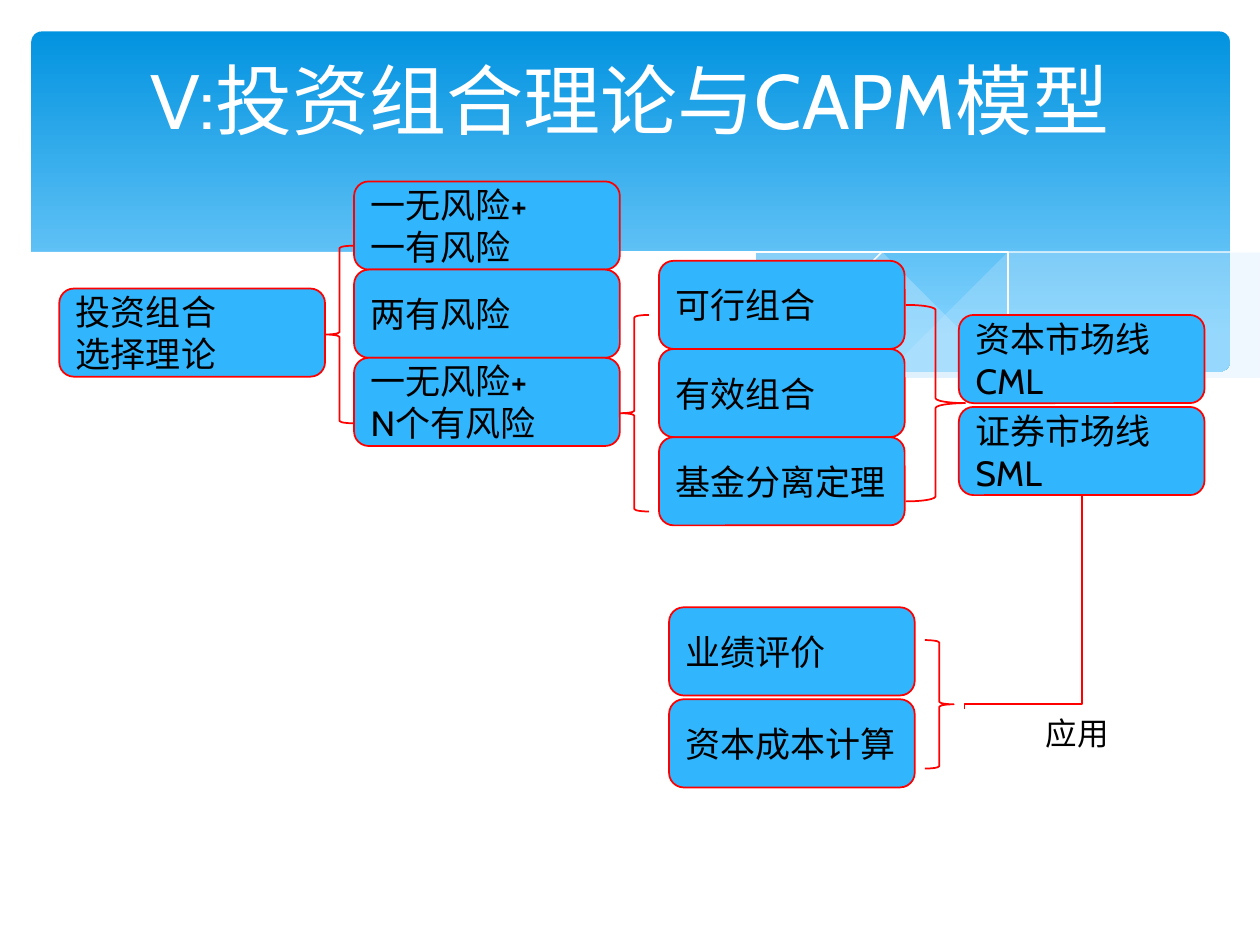
from lxml import etree
from pptx import Presentation
from pptx.dml.color import RGBColor
from pptx.enum.shapes import MSO_CONNECTOR, MSO_SHAPE
from pptx.enum.text import MSO_ANCHOR, PP_ALIGN
from pptx.oxml.ns import qn
from pptx.util import Inches, Pt

ROUNDED = MSO_SHAPE.ROUNDED_RECTANGLE
LEFT_BRACE, RIGHT_BRACE = MSO_SHAPE.LEFT_BRACE, MSO_SHAPE.RIGHT_BRACE
ELBOW = MSO_CONNECTOR.ELBOW
TOP, MIDDLE = MSO_ANCHOR.TOP, MSO_ANCHOR.MIDDLE
LEFT, CENTER = PP_ALIGN.LEFT, PP_ALIGN.CENTER

FONT = "Cabin"
COLORS = {
    "sky": "0293E0", "pale sky": "83D3FE", "mist": "C6E7FC", "white": "FFFFFF",
    "box": "31B6FD", "red": "FF0000", "black": "000000",
}
ROW = 0.7          # height of one box
SPACED_ROW = 0.73  # row step where boxes stand slightly apart

# Columns of the map: left, width, top, row step, labels
COLUMNS = [
    (0.47, 2.11, 2.29, ROW, ["投资组合\n选择理论"]),
    (2.81, 2.11, 1.44, ROW, ["一无风险+\n一有风险", "两有风险", "一无风险+\nN个有风险"]),
    (5.23, 1.95, 2.07, ROW, ["可行组合", "有效组合", "基金分离定理"]),
    (7.61, 1.95, 2.5, SPACED_ROW, ["资本市场线\nCML", "证券市场线\nSML"]),
    (5.31, 1.95, 4.82, SPACED_ROW, ["业绩评价", "资本成本计算"]),
]
BRACES = [
    (LEFT_BRACE, 2.58, 1.95, 0.23, 1.41),
    (LEFT_BRACE, 4.92, 2.5, 0.23, 1.56),
    (RIGHT_BRACE, 7.19, 2.42, 0.47, 1.56),
    (RIGHT_BRACE, 7.34, 5.08, 0.23, 1.02),
]

# Outlines of the waves along the lower edge of the banner
RIGHT_WAVE = [
    (9.76, 2), (9.48, 2.04), (9.06, 2.13), (8.61, 2.23), (8.05, 2.37), (7.53, 2.48),
    (7.06, 2.57), (6.61, 2.65), (6.91, 2.69), (7.32, 2.74), (7.69, 2.77), (8.03, 2.78),
    (8.44, 2.77), (8.72, 2.74), (8.97, 2.7), (9.21, 2.65), (9.42, 2.59), (9.63, 2.52),
    (9.76, 2.47),
]
MIDDLE_WAVE = [
    (8.93, 2.73), (8.37, 2.65), (7.75, 2.54), (7.06, 2.4), (6.29, 2.22), (5.84, 2.11),
    (5.41, 2.03), (5.02, 1.96), (4.65, 1.91), (4.2, 1.87), (3.8, 1.85), (3.44, 1.86),
    (3.13, 1.88), (2.86, 1.91), (3.23, 1.96), (3.62, 2.03), (4.04, 2.11), (4.49, 2.22),
    (5.3, 2.4), (6.01, 2.55), (6.5, 2.64), (6.95, 2.7), (7.36, 2.75), (7.73, 2.77),
    (8.07, 2.78), (8.48, 2.77), (8.76, 2.75),
]
FALLING_LINE = [
    (3.09, 1.95), (3.28, 1.92), (3.53, 1.89), (3.87, 1.87), (4.16, 1.87), (4.5, 1.88),
    (4.89, 1.9), (5.33, 1.94), (5.82, 2), (6.36, 2.08), (6.95, 2.19), (7.6, 2.33),
    (8.31, 2.51), (9.07, 2.72),
]
RISING_LINE = [
    (6.13, 2.57), (6.53, 2.46), (6.95, 2.35), (7.48, 2.23), (8.06, 2.1), (8.66, 1.99),
    (8.95, 1.94), (9.24, 1.9), (9.51, 1.87), (9.75, 1.85),
]
WHITE_WAVE = [
    (9.77, 2.46), (9.5, 2.56), (9.2, 2.65), (8.87, 2.71), (8.5, 2.75), (8.09, 2.77),
    (7.61, 2.75), (7.08, 2.7), (6.48, 2.62), (5.79, 2.5), (5.03, 2.33), (4.47, 2.2),
    (3.91, 2.07), (3.4, 1.97), (2.92, 1.9), (2.5, 1.86), (2.11, 1.84), (1.77, 1.84),
    (1.46, 1.85), (1.19, 1.87), (0.95, 1.91), (0.76, 1.95), (0.59, 1.99), (0.46, 2.03),
    (0.36, 2.07), (0.23, 2.13), (0.23, 3.29), (9.77, 3.29),
]


def color(name):
    return RGBColor.from_string(COLORS[name])


def inches(*values):
    return [Inches(value) for value in values]


def write(frame, text, size, ink, align=LEFT, anchor=TOP, wrap=True):
    frame.word_wrap = wrap
    frame.vertical_anchor = anchor
    for index, line in enumerate(text.split("\n")):
        para = frame.paragraphs[0] if index == 0 else frame.add_paragraph()
        para.alignment = align
        span = para.add_run()
        span.text = line
        for name, value in {"name": FONT, "size": Pt(size)}.items():
            setattr(span.font, name, value)
        span.font.color.rgb = color(ink)


def outline(item, name, width):
    item.line.color.rgb = color(name)
    item.line.width = Pt(width)


def add_banner(page):
    banner = page.shapes.add_shape(ROUNDED, *inches(0.25, 0.25, 9.51, 2.7))
    banner.shadow.inherit = False
    banner.adjustments[0] = 0.03
    banner.line.fill.background()
    banner.fill.gradient()
    banner.fill.gradient_angle = 270
    for stop, name, position in zip(banner.fill.gradient_stops, ("sky", "pale sky"), (0, 0.9)):
        stop.color.rgb = color(name)
        stop.position = position


def add_curve(page, points, closed):
    builder = page.shapes.build_freeform(*points[0], scale=Inches(1))
    builder.add_line_segments(points[1:], close=closed)
    curve = builder.convert_to_shape()
    curve.shadow.inherit = False
    return curve


def add_wave(page, points, fill, opacity=100):
    wave = add_curve(page, points, True)
    wave.line.fill.background()
    wave.fill.solid()
    wave.fill.fore_color.rgb = color(fill)
    if opacity < 100:
        tint = wave._element.spPr.find(".//" + qn("a:srgbClr"))
        etree.SubElement(tint, qn("a:alpha"), val=str(opacity * 1000))


def add_hairline(page, points):
    hairline = add_curve(page, points, False)
    hairline.fill.background()
    outline(hairline, "white", 0)


def add_text(page, text, place, size, ink, **layout):
    box = page.shapes.add_textbox(*inches(*place))
    write(box.text_frame, text, size, ink, **layout)


def add_column(page, left, width, top, step, labels):
    for row, label in enumerate(labels):
        box = page.shapes.add_shape(ROUNDED, *inches(left, top + row * step, width, ROW))
        box.shadow.inherit = False
        box.fill.solid()
        box.fill.fore_color.rgb = color("box")
        outline(box, "red", 1)
        write(box.text_frame, label, 20, "black", anchor=MIDDLE, wrap=False)


def add_brace(page, kind, *place):
    brace = page.shapes.add_shape(kind, *inches(*place))
    brace.shadow.inherit = False
    brace.fill.background()
    outline(brace, "red", 1)


def add_application_link(page):
    """Elbow turned a quarter so that it leaves the boxes downwards."""
    link = page.shapes.add_connector(ELBOW, *inches(7.27, 4.31, 8.97, 5.24))
    outline(link, "red", 1)
    properties = link._element.spPr
    properties.find(qn("a:xfrm")).set("rot", str(90 * 60000))
    guides = properties.find(qn("a:prstGeom")).get_or_add_avLst()
    etree.SubElement(guides, qn("a:gd"), name="adj1", fmla="val 97700")
    etree.SubElement(properties, qn("a:effectLst"))


def main():
    deck = Presentation()
    deck.slide_width, deck.slide_height = inches(10, 7.5)
    page = deck.slides.add_slide(deck.slide_layouts[6])

    add_banner(page)
    add_wave(page, RIGHT_WAVE, "mist", 29)
    add_wave(page, MIDDLE_WAVE, "mist", 40)
    add_hairline(page, FALLING_LINE)
    add_hairline(page, RISING_LINE)
    add_wave(page, WHITE_WAVE, "white")

    add_text(page, "V:投资组合理论与CAPM模型", (0.5, 0.37, 9, 1.37), 44, "white", align=CENTER)
    for column in COLUMNS:
        add_column(page, *column)
    for brace in BRACES:
        add_brace(page, *brace)
    add_application_link(page)
    add_text(page, "应用", (8.2, 5.62, 1.09, 0.51), 18, "black")
    deck.save("out.pptx")


if __name__ == "__main__":
    main()
